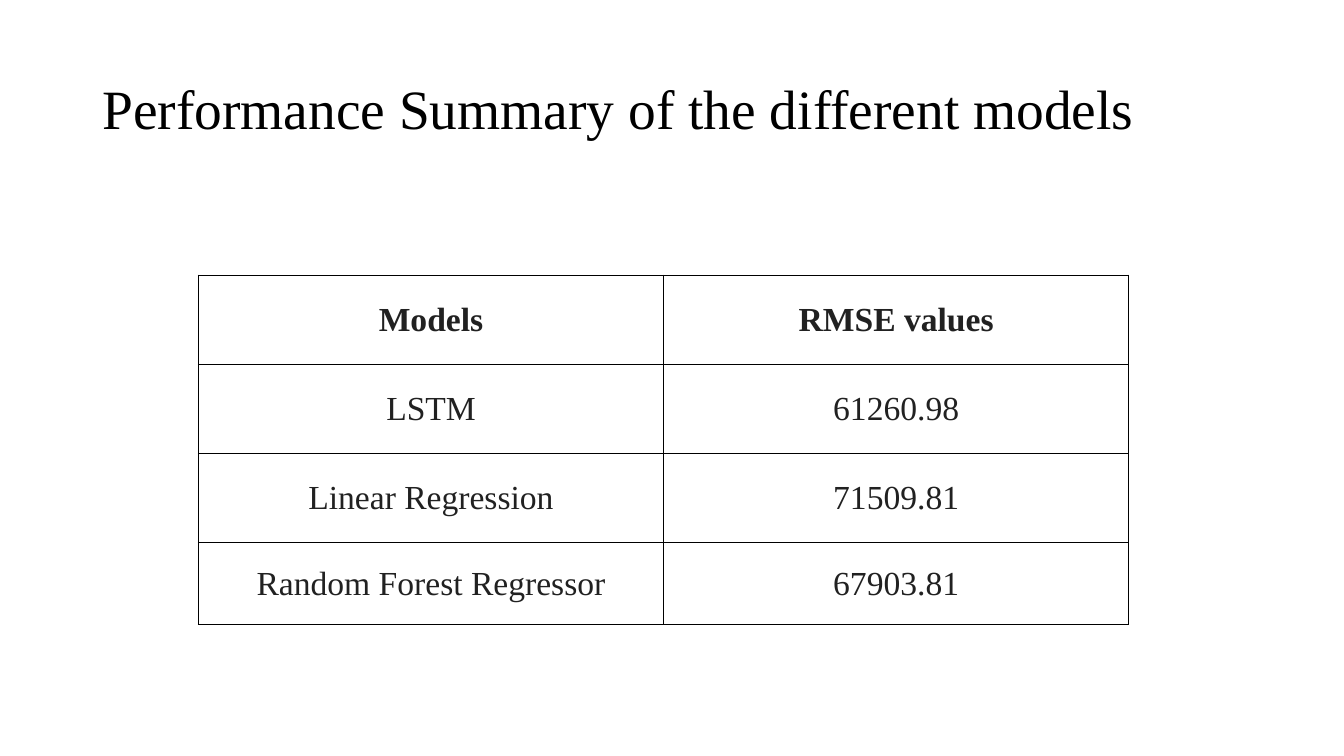
from lxml.etree import SubElement
from pptx import Presentation
from pptx.dml.color import RGBColor
from pptx.enum.text import MSO_ANCHOR as Anchor, PP_ALIGN as Align
from pptx.oxml.ns import qn
from pptx.util import Emu, Pt

EMU_PER_PX = 9525
FONT = "Times New Roman"
BLACK = RGBColor(0x00, 0x00, 0x00)
CHARCOAL = RGBColor(0x21, 0x21, 0x21)

TITLE = "Performance Summary of the different models"
RESULTS = [
    ("Models", "RMSE values"),
    ("LSTM", "61260.98"),
    ("Linear Regression", "71509.81"),
    ("Random Forest Regressor", "67903.81"),
]
COLUMN_WIDTH = 443
ROW_HEIGHTS = [85, 85, 85, 78]


def px(length):
    return Emu(length * EMU_PER_PX)


def add_run(paragraph, text, size, color, bold=False):
    run = paragraph.add_run()
    run.text = text
    run.font.name = FONT
    run.font.size = Pt(size)
    run.font.bold = bold
    run.font.color.rgb = color


def add_title(slide, left, top, width, height):
    frame = slide.shapes.add_textbox(px(left), px(top), px(width), px(height)).text_frame
    frame.word_wrap = True
    frame.vertical_anchor = Anchor.TOP
    frame.margin_top = px(15)
    paragraph = frame.paragraphs[0]
    paragraph.line_spacing = 0.9
    add_run(paragraph, TITLE, 39.6, BLACK)


def add_borders(cell, color, width):
    """Line all four sides; borders must precede the fill in the cell properties."""
    properties = cell._tc.get_or_add_tcPr()
    for side in ("a:lnL", "a:lnR", "a:lnT", "a:lnB"):
        line = SubElement(properties, qn(side), w=str(Pt(width)))
        fill = SubElement(line, qn("a:solidFill"))
        SubElement(fill, qn("a:srgbClr"), val=str(color))


def fill_cell(cell, text, bold):
    add_borders(cell, BLACK, 1)
    cell.fill.background()
    cell.vertical_anchor = Anchor.MIDDLE
    cell.margin_left = cell.margin_right = px(7)
    cell.margin_top = cell.margin_bottom = 0
    paragraph = cell.text_frame.paragraphs[0]
    paragraph.alignment = Align.CENTER
    add_run(paragraph, text, 24, CHARCOAL, bold)


def add_results_table(slide, left, top):
    column_count = len(RESULTS[0])
    table = slide.shapes.add_table(
        len(RESULTS), column_count, px(left), px(top),
        px(COLUMN_WIDTH * column_count), px(sum(ROW_HEIGHTS)),
    ).table
    table.horz_banding = False
    for column in table.columns:
        column.width = px(COLUMN_WIDTH)
    for row_index, (row, height) in enumerate(zip(table.rows, ROW_HEIGHTS)):
        row.height = px(height)
        for cell, text in zip(row.cells, RESULTS[row_index]):
            fill_cell(cell, text, bold=row_index == 0)


def main():
    presentation = Presentation()
    presentation.slide_width = px(1280)
    presentation.slide_height = px(720)
    slide = presentation.slides.add_slide(presentation.slide_layouts[6])
    add_results_table(slide, 189, 262)
    add_title(slide, 88, 63, 1104, 139)
    presentation.save("out.pptx")


if __name__ == "__main__":
    main()
